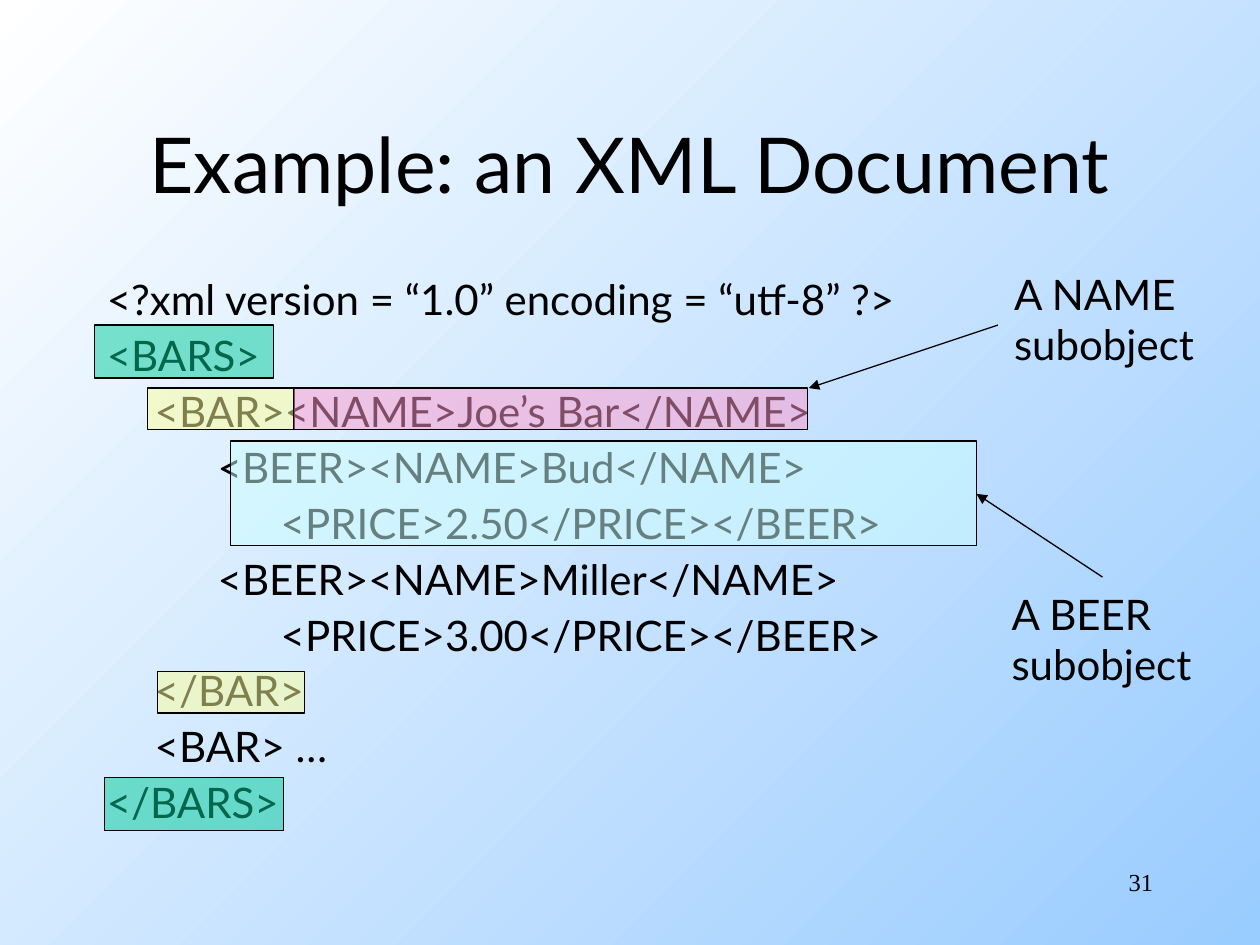
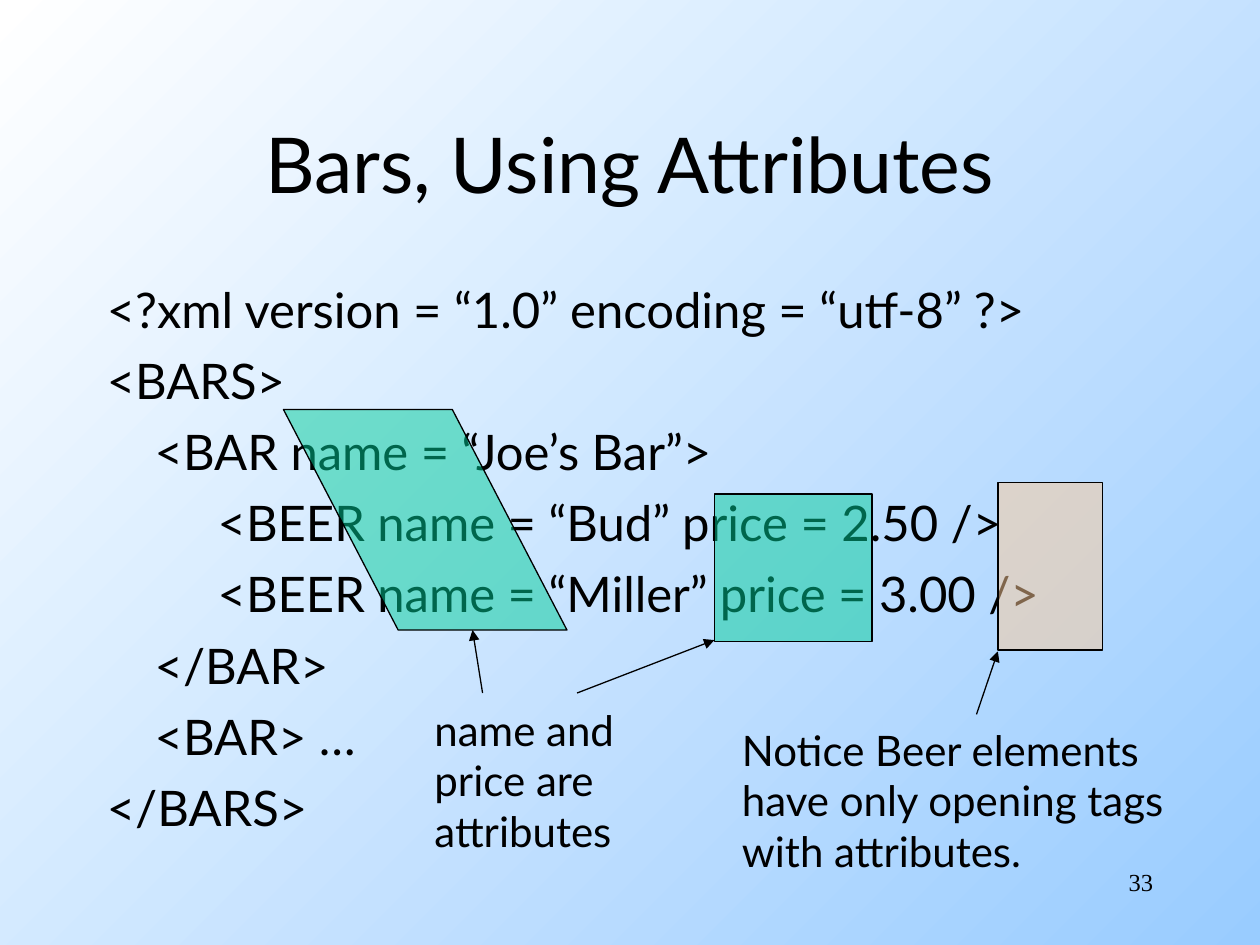
from dataclasses import dataclass

from lxml import etree
from pptx import Presentation
from pptx.dml.color import RGBColor
from pptx.enum.shapes import MSO_CONNECTOR, MSO_SHAPE
from pptx.enum.text import MSO_ANCHOR, MSO_AUTO_SIZE, PP_ALIGN
from pptx.oxml.ns import qn
from pptx.util import Inches, Pt

RECT = MSO_SHAPE.RECTANGLE
SLANT = MSO_SHAPE.PARALLELOGRAM
STRAIGHT = MSO_CONNECTOR.STRAIGHT
LEFT, CENTER, RIGHT = PP_ALIGN.LEFT, PP_ALIGN.CENTER, PP_ALIGN.RIGHT
TOP, MIDDLE = MSO_ANCHOR.TOP, MSO_ANCHOR.MIDDLE
FIXED = MSO_AUTO_SIZE.NONE
TITLE_ONLY = 5


@dataclass(frozen=True)
class Theme:
    ink: str = "000000"
    sky: str = "99CCFF"
    white: str = "FFFFFF"
    green: str = "00CC99"
    yellow: str = "FFFF99"
    pink: str = "FF99CC"
    aqua: str = "CCFFFF"
    peach: str = "FFCC99"
    face: str = "Lato"
    serif: str = "Times New Roman"
    title: int = 44
    note: int = 24
    page: int = 14
    line: float = 0.75
    alpha: int = 50


THEME = Theme()


def rgb(code):
    return RGBColor.from_string(code)


def apply(item, form):
    for key, value in form.items():
        setattr(item, key, value)


def box_at(*nums):
    return [Inches(num) for num in nums]


def write(shape, lines, size, face=THEME.face, align=LEFT, anchor=TOP, wrap=True):
    """Fill a text frame, one paragraph a line, and return the paragraphs."""
    frame = shape.text_frame
    apply(frame, {"word_wrap": wrap, "auto_size": FIXED, "vertical_anchor": anchor})
    font = {"size": Pt(size), "name": face}
    for i, line in enumerate(lines):
        para = frame.paragraphs[0] if i == 0 else frame.add_paragraph()
        para.alignment = align
        run = para.add_run()
        run.text = line
        apply(run.font, font)
        run.font.color.rgb = rgb(THEME.ink)
    return frame.paragraphs


def add_text(slide, place, lines, size, **form):
    return write(slide.shapes.add_textbox(*box_at(*place)), lines, size, **form)


def paint_back(prs):
    fill = prs.slide_master.background.fill
    fill.gradient()
    fill.gradient_angle = 315
    for stop, spot, code in zip(fill.gradient_stops, (0, 1), (THEME.white, THEME.sky)):
        stop.position = spot
        stop.color.rgb = rgb(code)


def add_slide(prs, title, page):
    slide = prs.slides.add_slide(prs.slide_layouts[TITLE_ONLY])
    head = slide.shapes.title
    spot = box_at(0.75, 0.67, 8.5, 1.25)
    apply(head, dict(zip(("left", "top", "width", "height"), spot)))
    write(head, [title], THEME.title, align=CENTER, anchor=MIDDLE)
    add_text(slide, (7.17, 6.83, 2.08, 0.5), [str(page)], THEME.page,
             face=THEME.serif, align=RIGHT)
    return slide


def add_code(slide, lines, size, pitch, gap):
    """Each line is (depth, text); depth counts tab stops an inch apart."""
    texts = ["\t" * depth + text for depth, text in lines]
    paras = add_text(slide, (0.75, 2.17, 8.5, 4.5), texts, size)
    for i, para in enumerate(paras):
        props = para._p.get_or_add_pPr()
        props.set("marL", str(Inches(0.38)))
        props.set("indent", str(Inches(-0.38)))
        tabs = etree.SubElement(props, qn("a:tabLst"))
        for stop in range(8):
            etree.SubElement(tabs, qn("a:tab"), pos=str(Inches(stop)), algn="l")
        apply(para, {"line_spacing": pitch, "space_before": Pt(gap if i else 0)})


def add_mark(slide, place, code, kind=RECT):
    """Lay a see-through outlined shape over the code."""
    mark = slide.shapes.add_shape(kind, *box_at(*place))
    mark.shadow.inherit = False
    mark.fill.solid()
    mark.fill.fore_color.rgb = rgb(code)
    tint = mark._element.spPr.find(qn("a:solidFill"))[0]
    etree.SubElement(tint, qn("a:alpha"), val=str(THEME.alpha * 1000))
    mark.line.color.rgb = rgb(THEME.ink)
    mark.line.width = Pt(THEME.line)
    return mark


def add_note(slide, place, *lines):
    add_text(slide, place, lines, THEME.note, wrap=False)


def add_arrow(slide, start, end):
    arrow = slide.shapes.add_connector(STRAIGHT, *box_at(*start, *end))
    arrow.line.color.rgb = rgb(THEME.ink)
    arrow.line.width = Pt(THEME.line)
    props = arrow._element.spPr
    etree.SubElement(props.find(qn("a:ln")), qn("a:tailEnd"), type="triangle")
    etree.SubElement(props, qn("a:effectLst"))


def build_tree(prs):
    slide = add_slide(prs, "Example: an XML Document", 31)
    add_code(slide, [
        (0, "<?xml version = “1.0” encoding = “utf-8” ?>"),
        (0, "<BARS>"),
        (1, "<BAR><NAME>Joe’s Bar</NAME>"),
        (2, "<BEER><NAME>Bud</NAME>"),
        (3, "<PRICE>2.50</PRICE></BEER>"),
        (2, "<BEER><NAME>Miller</NAME>"),
        (3, "<PRICE>3.00</PRICE></BEER>"),
        (1, "</BAR>"),
        (1, "<BAR> …"),
        (0, "</BARS>"),
    ], size=24, pitch=0.9, gap=6)
    for left, top in ((0.75, 2.58), (0.83, 6.17)):
        add_mark(slide, (left, top, 1.42, 0.42), THEME.green)
    for left, top in ((1.17, 3.08), (1.25, 5.33)):
        add_mark(slide, (left, top, 1.17, 0.33), THEME.yellow)
    add_mark(slide, (2.33, 3.08, 4.08, 0.33), THEME.pink)
    add_note(slide, (7.95, 2.08, 1.73, 0.9), "A NAME", "subobject")
    add_arrow(slide, (7.92, 2.58), (6.42, 3.08))
    add_mark(slide, (1.83, 3.5, 5.92, 0.83), THEME.aqua)
    add_note(slide, (7.93, 4.62, 1.73, 0.9), "A BEER", "subobject")
    add_arrow(slide, (8.75, 4.58), (7.75, 3.92))


def build_attrs(prs):
    slide = add_slide(prs, "Bars, Using Attributes", 33)
    add_code(slide, [
        (0, "<?xml version = “1.0” encoding = “utf-8” ?>"),
        (0, "<BARS>"),
        (1, "<BAR name = “Joe’s Bar”>"),
        (2, "<BEER name = “Bud” price = 2.50 />"),
        (2, "<BEER name = “Miller” price = 3.00 />"),
        (1, "</BAR>"),
        (1, "<BAR> …"),
        (0, "</BARS>"),
    ], size=28, pitch=1.0, gap=7)
    add_mark(slide, (7.92, 3.83, 0.83, 1.33), THEME.peach)
    add_note(slide, (5.79, 5.7, 3.84, 1.3), "Notice Beer elements",
             "have only opening tags", "with attributes.")
    add_arrow(slide, (7.75, 5.67), (7.92, 5.17))
    names = add_mark(slide, (2.25, 3.25, 2.25, 1.75), THEME.green, SLANT)
    names.adjustments[0] = 0.52
    names._element.spPr.xfrm.set("flipH", "1")
    add_mark(slide, (5.67, 3.92, 1.25, 1.17), THEME.green)
    add_note(slide, (3.35, 5.54, 1.77, 1.3), "name and", "price are", "attributes")
    add_arrow(slide, (3.83, 5.5), (3.75, 5))
    add_arrow(slide, (4.58, 5.5), (5.67, 5.08))


def main():
    prs = Presentation()
    apply(prs, {"slide_width": Inches(10), "slide_height": Inches(7.5)})
    paint_back(prs)
    build_tree(prs)
    build_attrs(prs)
    prs.save("out.pptx")


if __name__ == "__main__":
    main()
